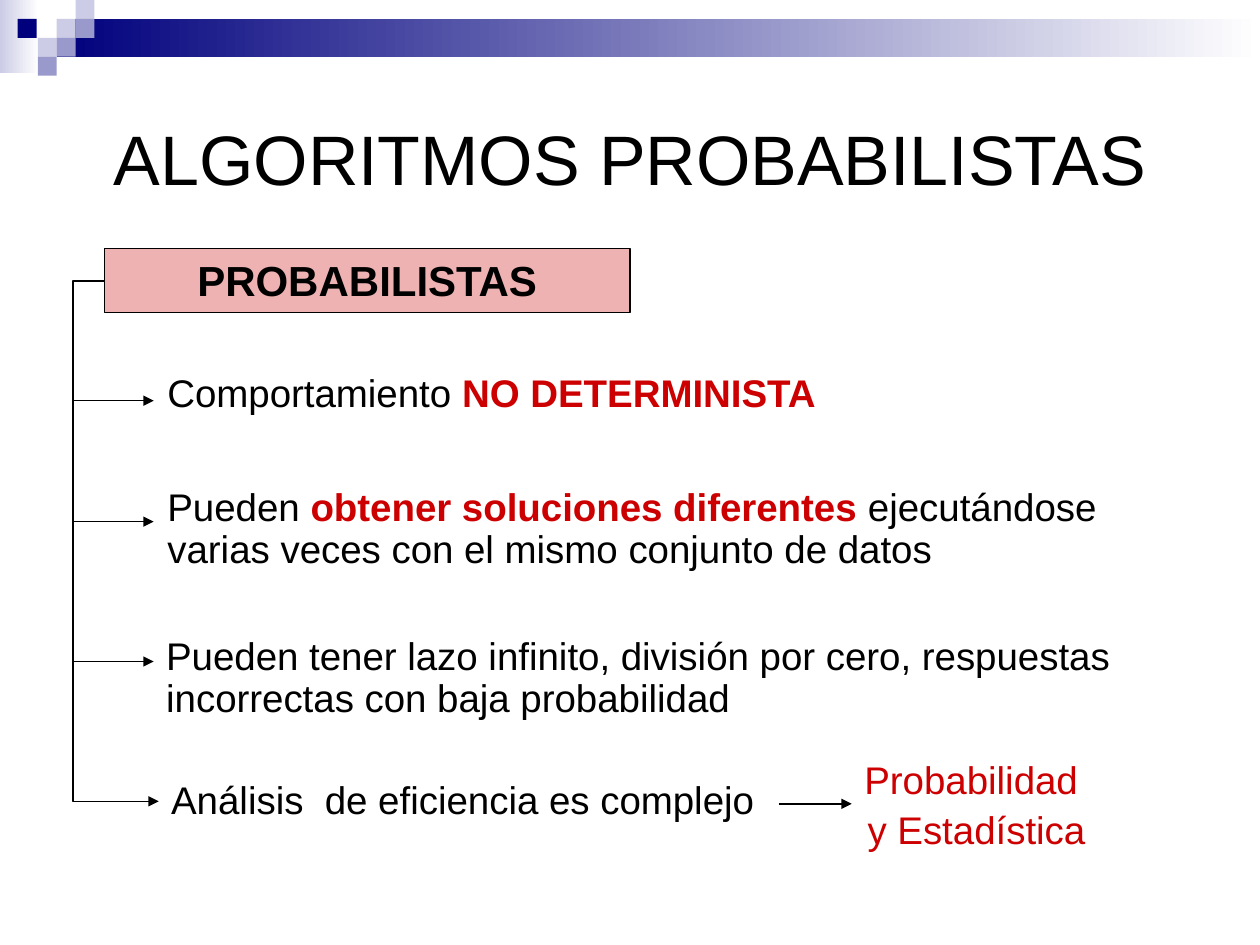
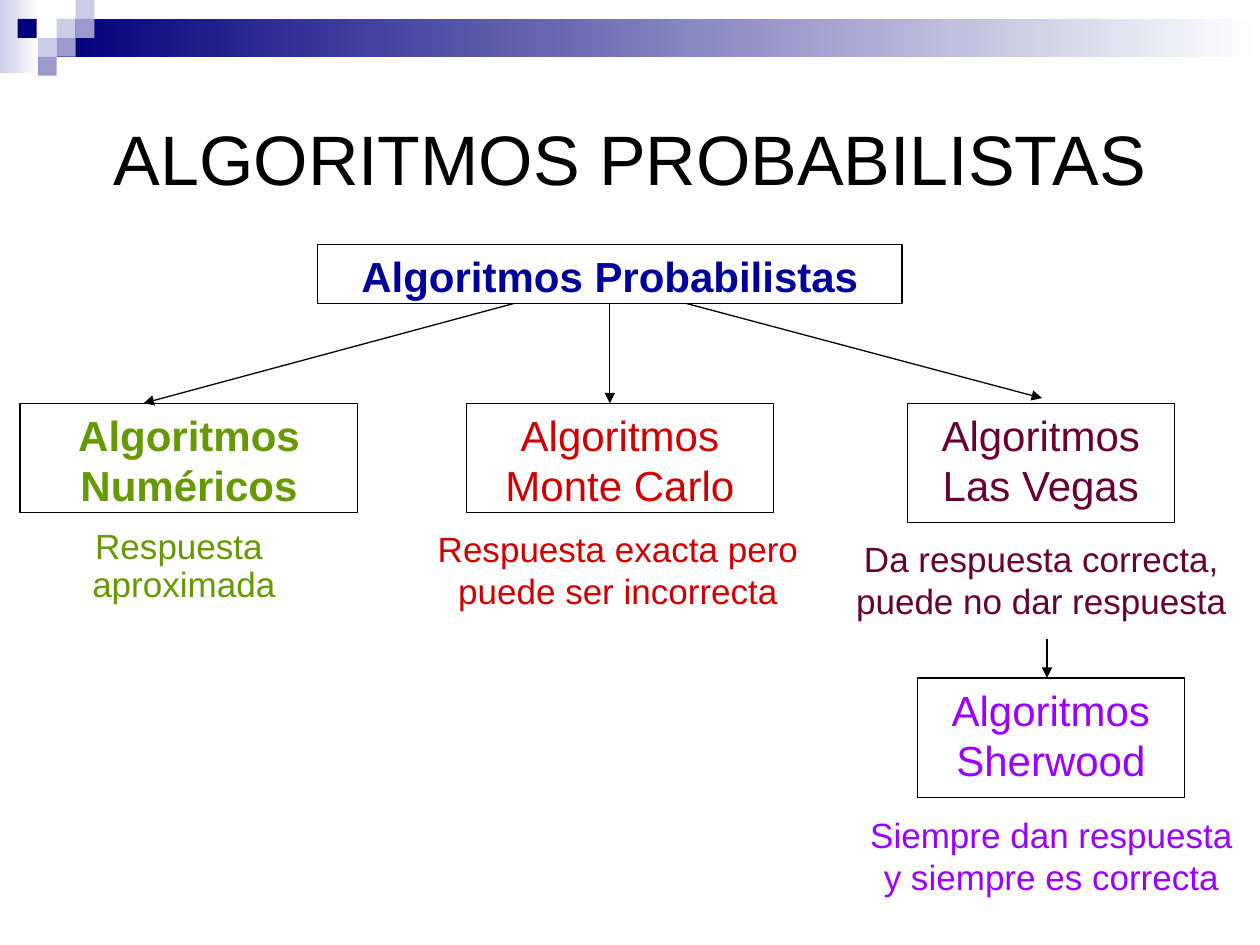
from lxml.etree import SubElement
from pptx import Presentation
from pptx.dml.color import RGBColor
from pptx.enum.shapes import MSO_CONNECTOR, MSO_SHAPE
from pptx.enum.text import MSO_ANCHOR, PP_ALIGN
from pptx.oxml.ns import qn
from pptx.util import Inches, Pt

# Content
COLORS = {
    "black": "000000", "white": "FFFFFF", "red": "CC0000", "green": "669900",
    "wine": "660033", "violet": "9900FF", "blue": "000099",
    "navy": "00007D", "mid": "9999CC", "pale": "CCCCE6",
}
FONT = "Arial"
TITLE = "ALGORITMOS PROBABILISTAS"

# Header: gradient bands (box, start colour), then squares (left, top, colour)
BANDS = [((0, 0, 0.31, 0.58), "pale"), ((0.45, 0.15, 9.55, 0.3), "navy")]
SQUARE = 0.15
SQUARES = [(0.45, 0.15, "pale"), (0.6, 0, "pale"), (0.6, 0.15, "mid"),
           (0.3, 0.3, "pale"), (0.14, 0.15, "navy"), (0.45, 0.3, "mid"),
           (0.3, 0.45, "mid")]

# Features: text box, arrow height, runs of (text, is key phrase)
FEATURES = [
    ((1.23, 2.92, 8.1, 0.43), 3.18,
     [("Comportamiento ", False), ("NO DETERMINISTA", True)]),
    ((1.23, 3.83, 8.18, 0.76), 4.14,
     [("Pueden ", False), ("obtener soluciones diferentes", True),
      (" ejecutándose varias veces con el mismo conjunto de datos", False)]),
    ((1.22, 5.01, 8.19, 0.76), 5.25,
     [("Pueden tener lazo infinito, división por cero, respuestas "
       "incorrectas con baja probabilidad", False)]),
    ((1.26, 6.15, 8.39, 0.43), None,
     [("Análisis  de eficiencia es complejo", False)]),
]

# Families: name, box, bold, colour, answer paragraphs, answer box, spacing
FAMILIES = [
    ("Algoritmos Numéricos", (0.16, 3.2, 2.68, 0.87), True, "green",
     ["Respuesta ", "aproximada"], (0.08, 4.15, 2.76, 0.7), 0.9),
    ("Algoritmos Monte Carlo", (3.7, 3.2, 2.44, 0.87), False, "red",
     ["Respuesta exacta pero puede ser incorrecta"],
     (3.35, 4.14, 3.11, 0.77), None),
    ("Algoritmos Las Vegas", (7.2, 3.2, 2.12, 0.95), False, "wine",
     ["Da respuesta correcta, puede no dar respuesta"],
     (6.65, 4.22, 3.23, 0.77), None),
    ("Algoritmos Sherwood", (7.28, 5.38, 2.12, 0.95), False, "violet",
     ["Siempre dan respuesta y siempre es correcta"],
     (6.73, 6.41, 3.23, 0.77), None),
]
FAMILY_ARROWS = [((4.37, 2.33), (1.14, 3.2)), ((5.04, 2.3), (8.27, 3.16)),
                 ((4.84, 2.41), (4.84, 3.2)), ((8.31, 5.07), (8.31, 5.38))]


def rgb(name):
    return RGBColor.from_string(COLORS[name])


def inches(values):
    return [Inches(v) for v in values]


def write(sp, paragraphs, size=22, color="black", bold=False, center=False,
          spacing=None, before=0, anchor=MSO_ANCHOR.TOP):
    """Fill a shape; a paragraph is a string or a list of (text, is key)."""
    tf = sp.text_frame
    tf.word_wrap = True
    tf.vertical_anchor = anchor
    for i, runs in enumerate(paragraphs):
        p = tf.add_paragraph() if i else tf.paragraphs[0]
        p.alignment = PP_ALIGN.CENTER if center else PP_ALIGN.LEFT
        p.space_before = Pt(before)
        if spacing:
            p.line_spacing = spacing
        for text, key in [(runs, False)] if isinstance(runs, str) else runs:
            r = p.add_run()
            r.text = text
            r.font.name = FONT
            r.font.size = Pt(size)
            r.font.bold = bold or key
            r.font.color.rgb = rgb("red" if key else color)


def text_box(s, box, paragraphs, **fmt):
    write(s.shapes.add_textbox(*inches(box)), paragraphs, **fmt)


def rect(s, box, fill, outline=False):
    sp = s.shapes.add_shape(MSO_SHAPE.RECTANGLE, *inches(box))
    sp.shadow.inherit = False
    sp.fill.solid()
    sp.fill.fore_color.rgb = rgb(fill)
    if outline:
        sp.line.color.rgb = rgb("black")
        sp.line.width = Pt(0.75)
    else:
        sp.line.fill.background()
    return sp


def label(s, box, text, fill="white", **fmt):
    sp = rect(s, box, fill, outline=True)
    write(sp, [text], size=24, center=True, **fmt)
    return sp


def arrow(s, start, end, kind=MSO_CONNECTOR.STRAIGHT):
    c = s.shapes.add_connector(kind, *inches(start + end))
    c.line.color.rgb = rgb("black")
    c.line.width = Pt(0.75)
    SubElement(c.line._get_or_add_ln(), qn("a:tailEnd"), type="triangle")
    SubElement(c.element.spPr, qn("a:effectLst"))
    return c


def add_header(s, layout):
    """Draw the header and move it to the layout, behind its placeholders."""
    parts = []
    for box, color in BANDS:
        sp = rect(s, box, color)
        sp.fill.gradient()
        sp.fill.gradient_angle = 0
        for stop, name in zip(sp.fill.gradient_stops, (color, "white")):
            stop.color.rgb = rgb(name)
        parts.append(sp)
    parts += [rect(s, (x, y, SQUARE, SQUARE), color) for x, y, color in SQUARES]
    for i, sp in enumerate(parts):
        sp.element.nvSpPr.cNvPr.set("id", str(100 + i))
        layout.shapes.element.insert(2 + i, sp.element)


def add_slide(prs, layout):
    s = prs.slides.add_slide(layout)
    title = s.shapes.title
    title.left, title.top, title.width, title.height = inches((0.5, 0.5, 9, 1.5))
    write(title, [TITLE], size=40, center=True, anchor=MSO_ANCHOR.MIDDLE)
    return s


def features_slide(s):
    heading = label(s, (0.83, 1.97, 4.17, 0.51), "PROBABILISTAS",
                    fill="red", bold=True)
    tint = heading.element.spPr.find(qn("a:solidFill"))
    SubElement(tint[0], qn("a:alpha"), val="30000")

    # Bracket from the heading down to the last feature
    start, end, bend = (0.83, 2.23), (1.26, 6.36), 0.58
    bracket = arrow(s, start, end, MSO_CONNECTOR.ELBOW)
    guides = bracket.element.spPr.find(qn("a:prstGeom")).get_or_add_avLst()
    ratio = (bend - start[0]) / (end[0] - start[0])
    SubElement(guides, qn("a:gd"), name="adj1", fmla=f"val {round(ratio * 100000)}")

    body = {"spacing": 0.9, "before": 5}
    for box, y, runs in FEATURES:
        text_box(s, box, [runs], **body)
        if y:
            arrow(s, (0.59, y), (1.22, y))

    # Tools that the analysis needs
    text_box(s, (6.65, 5.99, 2.2, 0.83), ["Probabilidad ", "y Estadística"],
             color="red", center=True, **body)
    arrow(s, (6.18, 6.38), (6.76, 6.38))


def families_slide(s):
    for name, box, bold, color, answer, answer_box, spacing in FAMILIES:
        label(s, box, name, color=color, bold=bold)
        text_box(s, answer_box, answer, size=20, color=color, center=True,
                 spacing=spacing)
    for start, end in FAMILY_ARROWS:
        arrow(s, start, end)
    # The root covers the upper ends of the arrows
    label(s, (2.52, 1.94, 4.64, 0.47), "Algoritmos Probabilistas",
          color="blue", bold=True)


def main():
    prs = Presentation()
    prs.slide_width, prs.slide_height = Inches(10), Inches(7.5)
    layout = prs.slide_layouts[5]
    for i, build in enumerate((features_slide, families_slide)):
        s = add_slide(prs, layout)
        if i == 0:
            add_header(s, layout)
        build(s)
    prs.save("out.pptx")


if __name__ == "__main__":
    main()
